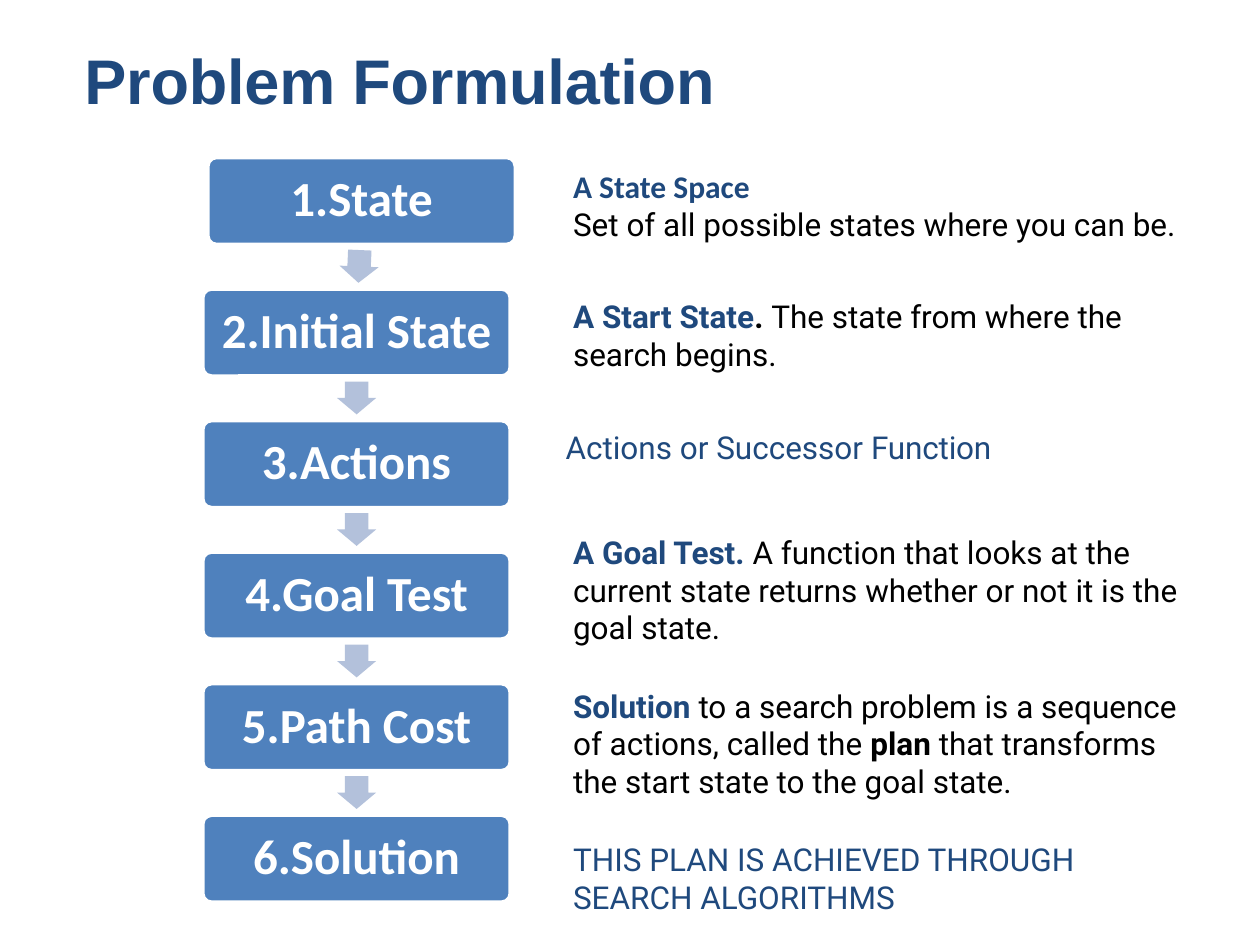
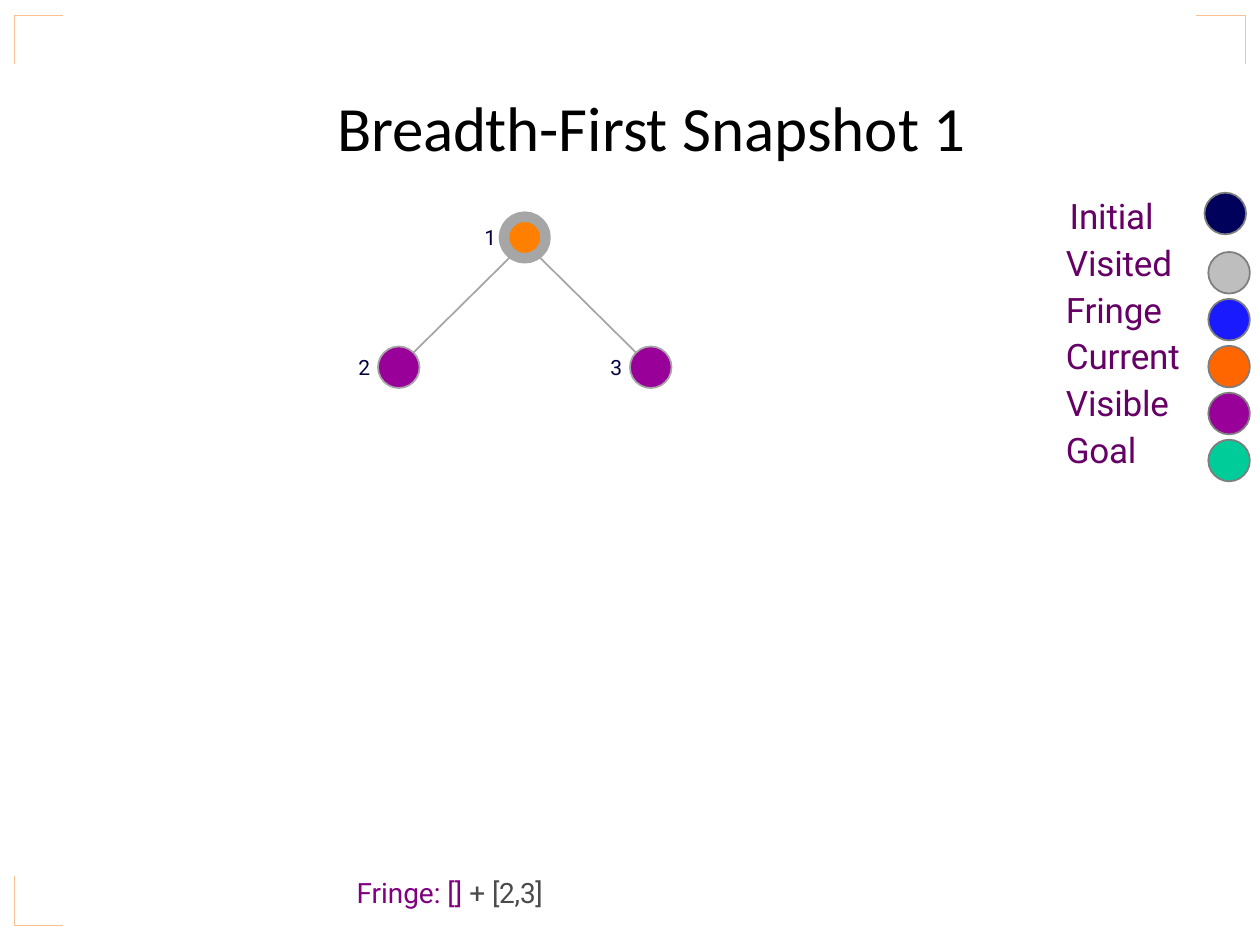
from dataclasses import dataclass, replace

from lxml import etree
from pptx import Presentation
from pptx.dml.color import RGBColor
from pptx.enum.shapes import MSO_CONNECTOR, MSO_SHAPE
from pptx.enum.text import MSO_ANCHOR, PP_ALIGN
from pptx.oxml.ns import qn
from pptx.util import Inches, Pt

ROUNDED = MSO_SHAPE.ROUNDED_RECTANGLE
ARROW = MSO_SHAPE.RIGHT_ARROW
OVAL = MSO_SHAPE.OVAL
STRAIGHT = MSO_CONNECTOR.STRAIGHT
MIDDLE = MSO_ANCHOR.MIDDLE
CENTER = PP_ALIGN.CENTER


@dataclass(frozen=True)
class Style:
    size: int
    font: str
    color: str
    bold: bool = False
    spacing: float = 0


@dataclass(frozen=True)
class Theme:
    step_fill: str = "4F81BD"
    arrow_fill: str = "B3C1DB"
    white: str = "FFFFFF"
    corner: str = "F9C090"
    tree_line: str = "A6A6A6"
    legend_line: str = "7E7E7E"
    initial: str = "00015A"
    visited: str = "BEBEBE"
    fringe: str = "1A1AFF"
    current: str = "FF6600"
    current_node: str = "FF8000"
    visible: str = "990099"
    goal: str = "00CC99"
    heading: Style = Style(36, "Arial", "1F497D", True, -0.1)
    step: Style = Style(28, "Calibri", "FFFFFF", True)
    body: Style = Style(18, "Roboto", "000000")
    accent: Style = Style(18, "Roboto", "1F497D")
    snapshot: Style = Style(36, "Calibri", "000000")
    legend: Style = Style(20, "Roboto", "660066", False, -0.1)
    queue: Style = Style(16, "Roboto", "800080")
    node_label: Style = Style(12, "Roboto", "000040", False, -0.5)


THEME = Theme()
STRONG = replace(THEME.body, bold=True)
TERM = replace(THEME.accent, bold=True)
NODE_SIZE = 0.33


def add_run(paragraph, text, style):
    run = paragraph.add_run()
    run.text = text
    run.font.size = Pt(style.size)
    run.font.name = style.font
    run.font.bold = style.bold
    run.font.color.rgb = RGBColor.from_string(style.color)
    if style.spacing:
        run.font._element.set("spc", str(round(style.spacing * 100)))


def add_text(slide, box, paragraphs, insets=(0, 0, 0, 0), margin=0, indent=0, line_spacing=None):
    shape = slide.shapes.add_textbox(*map(Inches, box))
    frame = shape.text_frame
    frame.word_wrap = True
    frame.margin_left, frame.margin_top, frame.margin_right, frame.margin_bottom = map(Inches, insets)
    for index, runs in enumerate(paragraphs):
        paragraph = frame.add_paragraph() if index else frame.paragraphs[0]
        properties = paragraph._p.get_or_add_pPr()
        properties.set("marL", str(Inches(margin)))
        properties.set("indent", str(Inches(indent)))
        if line_spacing:
            paragraph.line_spacing = line_spacing
        for text, style in runs:
            add_run(paragraph, text, style)


def add_preset(slide, kind, box, fill, line=None, line_width=1):
    shape = slide.shapes.add_shape(kind, *map(Inches, box))
    shape.shadow.inherit = False
    shape.fill.solid()
    shape.fill.fore_color.rgb = RGBColor.from_string(fill)
    if line:
        shape.line.color.rgb = RGBColor.from_string(line)
        shape.line.width = Pt(line_width)
    else:
        shape.line.fill.background()
    return shape


def add_edge(slide, start, end):
    connector = slide.shapes.add_connector(STRAIGHT, *map(Inches, (*start, *end)))
    connector.line.color.rgb = RGBColor.from_string(THEME.tree_line)
    connector.line.width = Pt(1)
    etree.SubElement(connector._element.spPr, qn("a:effectLst"))


def add_step_chain(slide, box, names):
    left, top, width, height = box
    step_height = 0.69
    pitch = (height - step_height) / (len(names) - 1)
    for index, name in enumerate(names):
        step_left = left if index else left + 0.04
        step_top = top + index * pitch
        step = add_preset(slide, ROUNDED, (step_left, step_top, width, step_height),
                          THEME.step_fill, THEME.white, 2)
        step.adjustments[0] = 0.1
        frame = step.text_frame
        frame.word_wrap = True
        frame.vertical_anchor = MIDDLE
        paragraph = frame.paragraphs[0]
        paragraph.alignment = CENTER
        paragraph.line_spacing = 0.9
        add_run(paragraph, name, THEME.step)
        if index < len(names) - 1:
            arrow_left = left + width / 2 - (0.13 if index else 0.11)
            arrow = add_preset(slide, ARROW,
                               (arrow_left, step_top + step_height + 0.02, 0.26, 0.31),
                               THEME.arrow_fill)
            arrow.adjustments[0] = 0.6
            arrow.rotation = 90 if index else 92.4


def add_descriptions(slide, left, descriptions):
    for top, width, height, paragraphs in descriptions:
        add_text(slide, (left, top, width, height), paragraphs, (0.1, 0.05, 0.1, 0.05))


def build_formulation_slide(slide):
    add_text(slide, (0.67, 0.33, 5.46, 0.61), [[("Problem Formulation", THEME.heading)]])
    add_step_chain(slide, (1.61, 1.25, 2.44, 5.91),
                   ["1.State", "2.Initial State", "3.Actions", "4.Goal Test",
                    "5.Path Cost", "6.Solution"])
    add_descriptions(slide, 4.45, [
        (1.28, 5.3, 0.71, [
            [("A State Space", replace(TERM, font="Calibri"))],
            [("Set of all possible states where you can be.", THEME.body)]]),
        (2.31, 5, 0.71, [[
            ("A Start State", TERM), (". ", STRONG),
            ("The state from where the search begins.", THEME.body)]]),
        (4.18, 5, 1.01, [[
            ("A Goal Test. ", TERM),
            ("A function that looks at the current state returns whether or not "
             "it is the goal state.", THEME.body)]]),
        (5.4, 5, 1.01, [[
            ("Solution ", TERM),
            ("to a search problem is a sequence of actions, called the ", THEME.body),
            ("plan ", STRONG),
            ("that transforms the start state to the goal state.", THEME.body)]]),
        (6.62, 5, 0.71, [[
            ("THIS PLAN IS ACHIEVED THROUGH SEARCH ALGORITHMS", THEME.accent)]]),
    ])
    add_text(slide, (3.8, 3.35, 5, 0.4),
             [[("Actions or Successor ", THEME.accent),
               ("Function", replace(THEME.accent, spacing=-0.1))]],
             (0.1, 0.05, 0.1, 0.05), margin=0.59)


def add_corners(slide, box):
    left, top, width, height = box
    right, bottom = left + width, top + height
    arm = 0.39
    for x, y, across, down in ((right, top, -arm, arm), (left, top, arm, arm),
                               (left, bottom, arm, -arm)):
        builder = slide.shapes.build_freeform(Inches(x + across), Inches(y))
        builder.add_line_segments([(Inches(x), Inches(y)), (Inches(x), Inches(y + down))],
                                  close=False)
        corner = builder.convert_to_shape()
        corner.shadow.inherit = False
        corner.fill.background()
        corner.line.color.rgb = RGBColor.from_string(THEME.corner)
        corner.line.width = Pt(0.25)


def add_tree(slide, box):
    left, top, width, height = box
    radius = NODE_SIZE / 2
    root = (left + width / 2, top + radius)
    child_y = top + height - radius
    children = ((left + radius, child_y), (left + width - radius, child_y))
    for (x, y), side in zip(children, (-1, 1)):
        add_edge(slide, (root[0] + side * 0.08, root[1] + 0.12), (x - side * 0.09, y - 0.09))
    nodes = [("1", root, THEME.current_node, 6)]
    nodes += [(name, center, THEME.visible, 1) for name, center in zip("23", children)]
    for name, (x, y), fill, line_width in nodes:
        add_preset(slide, OVAL, (x - radius, y - radius, NODE_SIZE, NODE_SIZE),
                   fill, THEME.tree_line, line_width)
        add_text(slide, (x - 0.33, y - 0.12, 0.12, 0.23), [[(name, THEME.node_label)]],
                 (0, 0.02, 0, 0), margin=0.01)


def add_legend(slide, box):
    left, top, width, height = box
    add_text(slide, (left, top, 0.95, 2.25),
             [[("Initial Visited Fringe Current Visible ", THEME.legend),
               ("Goal", replace(THEME.legend, spacing=-0.2))]],
             (0, 0.02, 0, 0), margin=0.01, indent=0.03, line_spacing=1.11)
    key_left = left + width - NODE_SIZE
    keys = [(key_left - 0.03, top + 0.04, THEME.initial)]
    states = (THEME.visited, THEME.fringe, THEME.current, THEME.visible, THEME.goal)
    first_top = top + 0.51
    pitch = (top + height - NODE_SIZE - first_top) / (len(states) - 1)
    keys += [(key_left, first_top + index * pitch, fill) for index, fill in enumerate(states)]
    for x, y, fill in keys:
        add_preset(slide, OVAL, (x, y, NODE_SIZE, NODE_SIZE), fill, THEME.legend_line)


def build_snapshot_slide(slide):
    add_corners(slide, (0.11, 0.12, 9.77, 7.22))
    add_text(slide, (1.6, 0.42, 6.48, 0.87),
             [[("Breadth-", replace(THEME.snapshot, spacing=-0.2)),
               ("First Snapshot ", THEME.snapshot),
               ("1", replace(THEME.snapshot, spacing=-0.5))]],
             (0, 0.28, 0, 0), margin=1.08)
    add_tree(slide, (3, 1.72, 2.33, 1.36))
    add_legend(slide, (8.45, 1.49, 1.47, 2.33))
    queue_end = replace(THEME.queue, color="4B4B4B")
    add_text(slide, (2.82, 6.96, 1.58, 0.28),
             [[("Fringe: [] ", THEME.queue), ("+ ", queue_end),
               ("[2,3]", replace(queue_end, spacing=-0.1))]],
             margin=0.01, line_spacing=Pt(18.6))


def main():
    presentation = Presentation()
    presentation.slide_width = Inches(10)
    presentation.slide_height = Inches(7.5)
    blank = presentation.slide_layouts[6]
    for build in (build_formulation_slide, build_snapshot_slide):
        build(presentation.slides.add_slide(blank))
    presentation.save("out.pptx")


if __name__ == "__main__":
    main()
